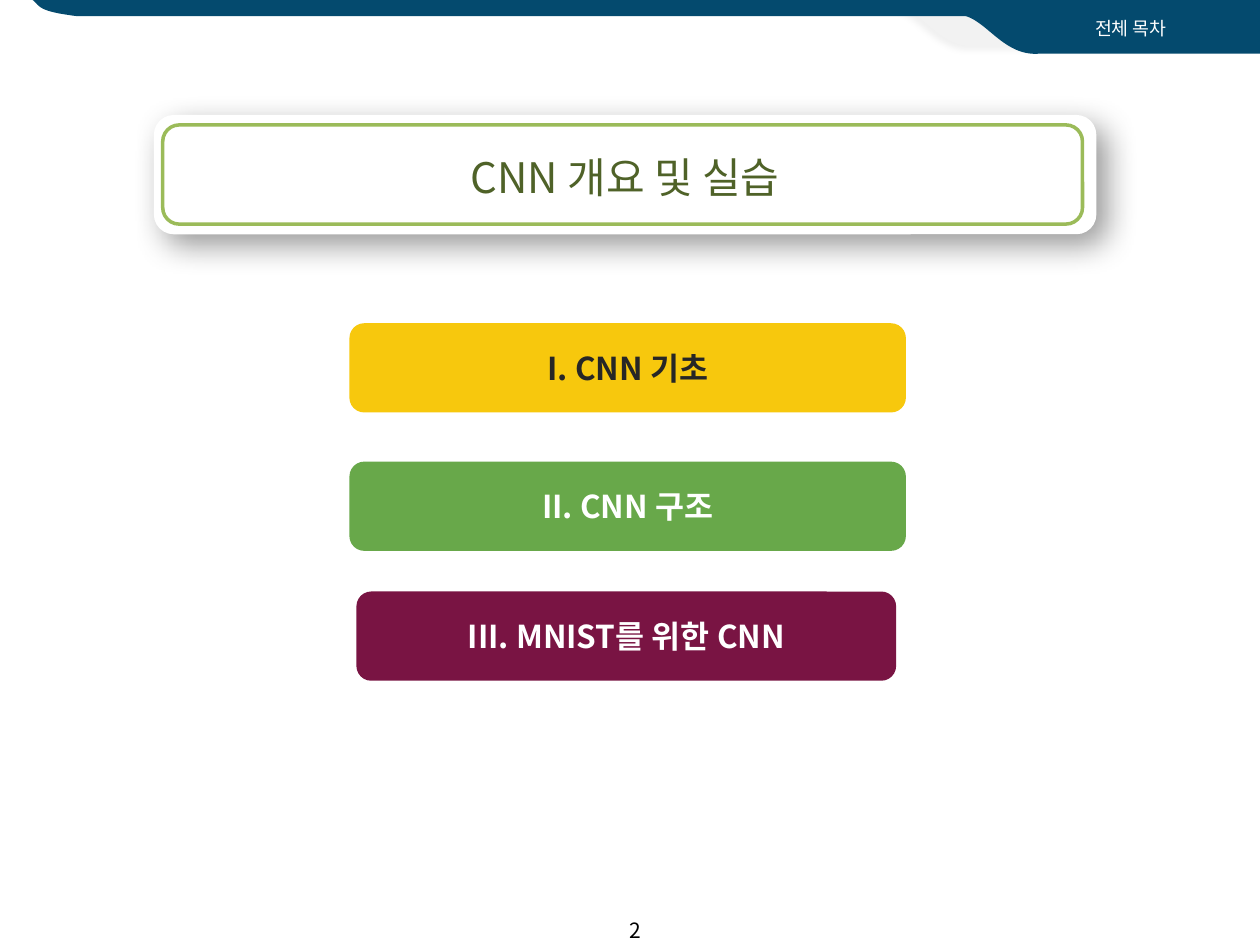
from dataclasses import dataclass

from lxml.etree import SubElement
from pptx import Presentation
from pptx.dml.color import RGBColor
from pptx.enum.shapes import MSO_SHAPE
from pptx.enum.text import MSO_ANCHOR, MSO_AUTO_SIZE, PP_ALIGN
from pptx.oxml.ns import qn
from pptx.util import Pt


@dataclass(frozen=True)
class Theme:
    """Colours, type sizes and font of the slide."""

    font: str = "Noto Sans CJK KR"
    navy: str = "044A6E"
    pale: str = "F2F2F2"
    white: str = "FFFFFF"
    black: str = "000000"
    dark: str = "262626"
    olive: str = "4F6228"
    lime: str = "9BBB59"
    yellow: str = "F7C80D"
    green: str = "68A84A"
    wine: str = "791443"
    header_size: float = 10.5
    number_size: float = 12
    section_size: float = 18
    title_size: float = 24


THEME = Theme()


def write_text(shape, text, size, color, bold=False):
    """Write one centred run into a shape."""
    frame = shape.text_frame
    frame.word_wrap = True
    frame.auto_size = MSO_AUTO_SIZE.NONE
    frame.vertical_anchor = MSO_ANCHOR.MIDDLE
    paragraph = frame.paragraphs[0]
    paragraph.alignment = PP_ALIGN.CENTER
    run = paragraph.add_run()
    run.text = text
    run.font.size = Pt(size)
    run.font.bold = bold
    run.font.color.rgb = RGBColor.from_string(color)
    run.font.name = THEME.font
    SubElement(run.font._element, qn("a:ea"), typeface=THEME.font)


def paint(shape, fill=None, line=None):
    """Set fill and outline and remove the inherited shadow."""
    shape.shadow.inherit = False
    if fill:
        shape.fill.solid()
        shape.fill.fore_color.rgb = RGBColor.from_string(fill)
    else:
        shape.fill.background()
    if line:
        shape.line.color.rgb = RGBColor.from_string(line)
        shape.line.width = Pt(2)
    else:
        shape.line.fill.background()


def add_shadow(shape, opacity, blur, distance, angle):
    """Give a shape a soft black outer shadow."""
    effects = shape._element.spPr.find(qn("a:effectLst"))
    shadow = SubElement(
        effects, qn("a:outerShdw"), blurRad=str(Pt(blur)), dist=str(Pt(distance)),
        dir=str(angle * 60000), algn="ctr", rotWithShape="0",
    )
    color = SubElement(shadow, qn("a:srgbClr"), val=THEME.black)
    SubElement(color, qn("a:alpha"), val=str(opacity * 1000))


def curve_points(start, first, second, end, steps=24):
    """Return points along a cubic curve."""
    points = []
    for step in range(1, steps + 1):
        t = step / steps
        weights = ((1 - t) ** 3, 3 * t * (1 - t) ** 2, 3 * t * t * (1 - t), t ** 3)
        controls = (start, first, second, end)
        points.append(tuple(
            sum(weight * point[axis] for weight, point in zip(weights, controls))
            for axis in (0, 1)
        ))
    return points


def add_curved_band(slide, left, top, width, height, foot, controls, fill):
    """Draw a band whose left edge curves from its foot to its top corner."""
    corners = [(width, 0), (width, height), (foot, height)]
    outline = corners + curve_points(corners[-1], *controls, (0, 0))
    builder = slide.shapes.build_freeform(Pt(left), Pt(top), scale=1.0)
    builder.add_line_segments([(Pt(left + x), Pt(top + y)) for x, y in outline])
    shape = builder.convert_to_shape()
    paint(shape, fill)
    return shape


def add_rounded(slide, left, top, width, height, fill=None, line=None):
    """Add a rounded rectangle."""
    shape = slide.shapes.add_shape(
        MSO_SHAPE.ROUNDED_RECTANGLE, Pt(left), Pt(top), Pt(width), Pt(height)
    )
    paint(shape, fill, line)
    return shape


def add_label(slide, left, top, width, height, text, size, color):
    """Add a text box with centred text."""
    box = slide.shapes.add_textbox(Pt(left), Pt(top), Pt(width), Pt(height))
    write_text(box, text, size, color)


def add_header(slide):
    """Draw the header bands and their label."""
    tab_controls = ((23.8, 23.8), (14.4, 2.2))
    for left, top, fill in ((513.4, 4.3, THEME.pale), (549.4, 8.6, THEME.navy)):
        tab = add_curved_band(slide, left, top, 170.6, 22.1, 44.6, tab_controls, fill)
        if fill == THEME.pale:
            add_shadow(tab, 5, 4, 3, 135)
    add_curved_band(slide, 18.7, 0, 701.3, 9.2, 25.2, ((2.9, 6.5), (4.3, 3.6)), THEME.navy)
    add_label(slide, 581, 6.2, 130.3, 20, "전체 목차", THEME.header_size, THEME.white)


def add_title_card(slide, text):
    """Draw the framed card and place the title on it."""
    card = add_rounded(slide, 87.9, 65.7, 538.6, 68.2, THEME.white)
    add_shadow(card, 40, 18, 8, 45)
    title = slide.shapes.title
    title.left, title.top, title.width, title.height = Pt(94.3), Pt(82.8), Pt(525.6), Pt(36)
    write_text(title, text, THEME.title_size, THEME.olive)
    slide.shapes.element.append(title.element)
    add_rounded(slide, 93, 71.4, 525.6, 56.7, line=THEME.lime)


def main():
    """Build and save the contents slide."""
    presentation = Presentation()
    presentation.slide_width, presentation.slide_height = Pt(720), Pt(540)
    slide = presentation.slides.add_slide(presentation.slide_layouts[5])
    add_header(slide)
    add_title_card(slide, "CNN 개요 및 실습")
    sections = (
        ("I. CNN 기초", 199.7, 184.7, 318, THEME.yellow, THEME.dark),
        ("II. CNN 구조", 199.7, 263.8, 318, THEME.green, THEME.white),
        ("III. MNIST를 위한 CNN", 203.7, 338, 308.4, THEME.wine, THEME.white),
    )
    for text, left, top, width, fill, color in sections:
        button = add_rounded(slide, left, top, width, 51, fill)
        write_text(button, text, THEME.section_size, color, bold=True)
    add_label(slide, 337.7, 517, 51, 28.8, "2", THEME.number_size, THEME.black)
    presentation.save("out.pptx")


if __name__ == "__main__":
    main()
